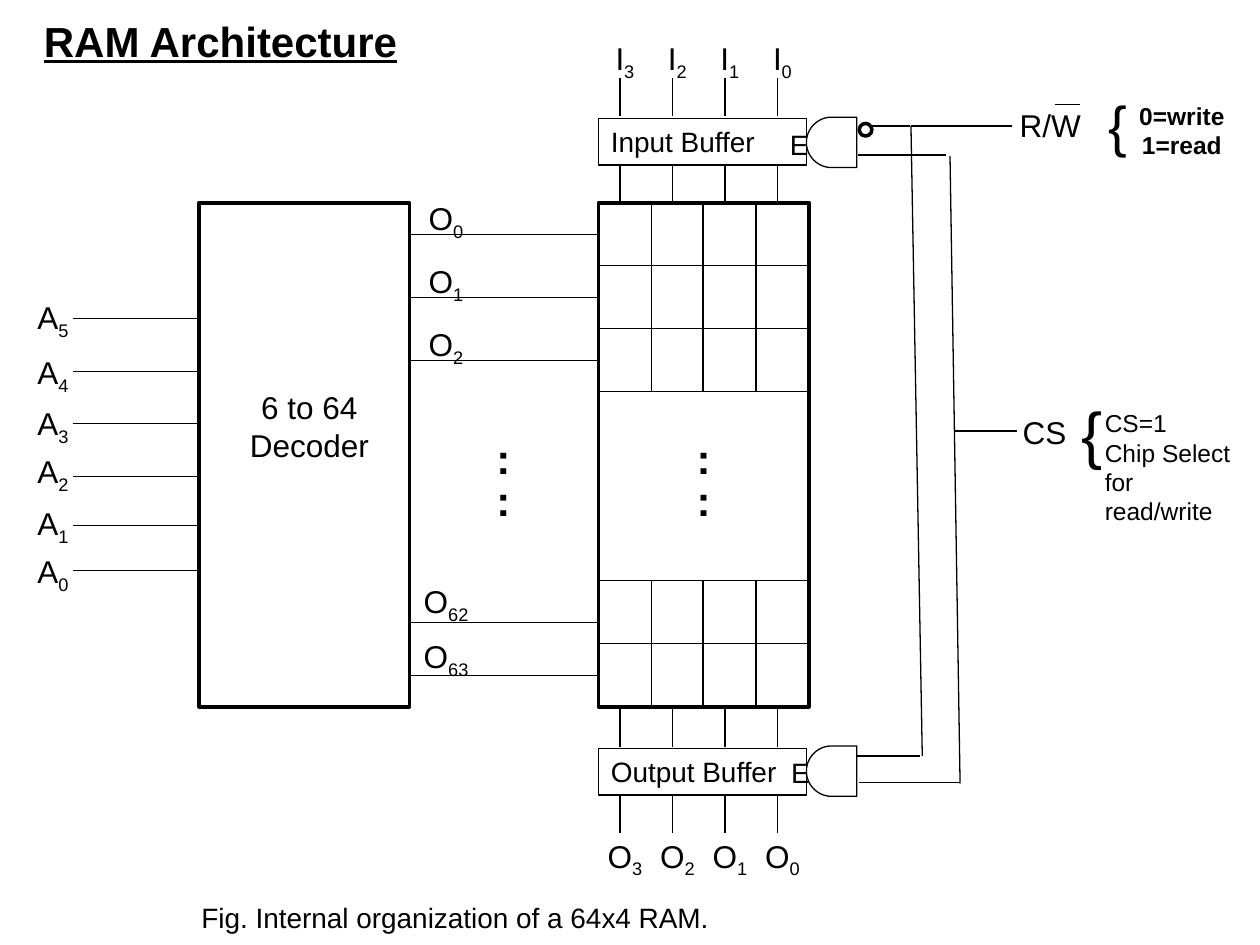
"""Draw the internal organization of a 64x4 RAM on one slide."""
from dataclasses import dataclass

from lxml.etree import SubElement
from pptx import Presentation
from pptx.dml.color import RGBColor
from pptx.enum.shapes import MSO_CONNECTOR, MSO_SHAPE
from pptx.enum.text import MSO_ANCHOR, PP_ALIGN
from pptx.oxml.ns import qn
from pptx.util import Cm, Pt


@dataclass(frozen=True)
class Theme:
    font: str = "Arial"
    ink: RGBColor = RGBColor(0, 0, 0)
    paper: RGBColor = RGBColor(255, 255, 255)
    note: int = 14
    caption: int = 16
    label: int = 18
    title: int = 24
    brace: int = 32
    tall_brace: int = 36
    thin: float = 0.75
    thick: float = 2


def inches(value):
    return Cm(value * 2.54)


def write(box, text, *, theme, size, bold=False, underline=False,
          align=PP_ALIGN.CENTER, leading=None):
    frame = box.text_frame
    frame.word_wrap = True
    frame.vertical_anchor = MSO_ANCHOR.TOP
    for index, line in enumerate(text.split("\n")):
        para = frame.add_paragraph() if index else frame.paragraphs[0]
        para.alignment = align
        if leading:
            para.line_spacing = Pt(leading)
        for position, part in enumerate(line.split("_")):
            span = para.add_run()
            span.text = part
            span.font.name = theme.font
            span.font.size = Pt(size)
            span.font.bold = bold
            span.font.underline = underline
            span.font.color.rgb = theme.ink
            if position:
                span._r.get_or_add_rPr().set("baseline", "-25000")


class Diagram:
    def __init__(self, page, theme):
        self.page = page
        self.theme = theme

    def text(self, text, left, top, width, height, **style):
        box = self.page.shapes.add_textbox(*map(inches, (left, top, width, height)))
        write(box, text, theme=self.theme, **{"size": self.theme.label, **style})

    def shape(self, kind, left, top, width, height, weight, filled=False):
        box = self.page.shapes.add_shape(kind, *map(inches, (left, top, width, height)))
        box.shadow.inherit = False
        if filled:
            box.fill.solid()
            box.fill.fore_color.rgb = self.theme.paper
        else:
            box.fill.background()
        box.line.color.rgb = self.theme.ink
        box.line.width = Pt(weight)
        return box

    def block(self, left):
        self.shape(MSO_SHAPE.RECTANGLE, left, 1.61, 1.67, 4, self.theme.thick)

    def buffer(self, text, top):
        box = self.shape(MSO_SHAPE.RECTANGLE, 4.75, top, 1.65, 0.37, self.theme.thin)
        write(box, text, theme=self.theme, size=self.theme.caption, align=PP_ALIGN.LEFT)

    def gate(self, top):
        box = self.shape(MSO_SHAPE.FLOWCHART_DELAY, 6.4, top, 0.4, 0.4,
                         self.theme.thin, filled=True)
        box.rotation = 180

    def line(self, *ends):
        wire = self.page.shapes.add_connector(MSO_CONNECTOR.STRAIGHT, *map(inches, ends))
        wire.line.color.rgb = self.theme.ink
        wire.line.width = Pt(self.theme.thin)
        SubElement(wire._element.spPr, qn("a:effectLst"))


def draw_decoder(diagram):
    diagram.block(1.58)
    diagram.text("6 to 64 Decoder", 1.83, 3.03, 1.25, 0.7)
    addresses = ((2.53, 2.32), (2.95, 2.75), (3.36, 3.16),
                 (3.78, 3.54), (4.17, 3.95), (4.53, 4.33))
    for index, (wire, label) in enumerate(addresses):
        diagram.line(0.58, wire, 1.58, wire)
        diagram.text(f"A_{5 - index}", 0.17, label, 0.5, 0.44)
    outputs = ((0, 1.86, 1.53), (1, 2.36, 2.03), (2, 2.86, 2.53),
               (62, 4.94, 4.57), (63, 5.36, 5.01))
    for number, wire, label in outputs:
        diagram.line(3.25, wire, 4.75, wire)
        diagram.text(f"O_{number}", 3.25, label, 0.58, 0.44)


def draw_memory(diagram):
    theme = diagram.theme
    diagram.block(4.75)
    for row in (2.11, 2.61, 3.11, 4.61, 5.11):
        diagram.line(4.75, row, 6.42, row)
    for column in (5.17, 5.58, 6):
        diagram.line(column, 1.61, column, 3.11)
        diagram.line(column, 4.61, column, 5.61)
    for left in (3.83, 5.42):
        diagram.text(":\n:", left, 3.45, 0.33, 0.77,
                     size=theme.title, bold=True, leading=theme.title)


def draw_buffers(diagram):
    diagram.buffer("Input Buffer", 0.94)
    diagram.buffer("Output Buffer", 5.94)
    for index in range(4):
        column = 4.92 + index * 1.25 / 3
        for top in (0.62, 1.31, 5.63, 6.31):
            diagram.line(column, top, column, top + 0.3)
        for letter, top in (("I", 0.26), ("O", 6.59)):
            diagram.text(f"{letter}_{3 - index}", column - 0.25, top, 0.58, 0.44)


def draw_control(diagram):
    theme = diagram.theme
    diagram.line(7.54, 1.24, 7.62, 6.22)
    diagram.line(7.23, 1, 7.32, 6)
    for top, left in ((0.93, 6.17), (5.92, 6.18)):
        diagram.gate(top)
        diagram.text("E", left, top + 0.03, 0.25, 0.37, size=theme.caption)
    diagram.shape(MSO_SHAPE.OVAL, 6.82, 0.98, 0.1, 0.1, theme.thick)
    for start, end, height in ((6.92, 7.22, 1), (6.8, 7.3, 6), (6.82, 7.62, 6.21),
                               (6.81, 7.51, 1.23), (7.23, 8.03, 1),
                               (7.57, 8.07, 3.42), (8.37, 8.57, 0.83)):
        diagram.line(start, height, end, height)
    diagram.text("R/W", 7.92, 0.79, 0.83, 0.4)
    diagram.text("CS", 8, 3.23, 0.58, 0.4)
    diagram.text("{", 8.7, 0.67, 0.33, 0.64, size=theme.brace)
    diagram.text("0=write\n1=read", 8.92, 0.75, 0.92, 0.57, size=theme.note, bold=True)
    diagram.text("CS=1\nChip Select for read/write", 8.67, 3.19, 1.33, 1.04,
                 size=theme.note, align=PP_ALIGN.LEFT)
    diagram.text("{", 8.42, 3.08, 0.5, 0.7, size=theme.tall_brace)


def main():
    deck = Presentation()
    deck.slide_width, deck.slide_height = inches(10), inches(7.5)
    theme = Theme()
    diagram = Diagram(deck.slides.add_slide(deck.slide_layouts[6]), theme)
    draw_decoder(diagram)
    draw_memory(diagram)
    draw_buffers(diagram)
    draw_control(diagram)
    diagram.text("Fig. Internal organization of a 64x4 RAM.", 1.5, 7.1, 4.5, 0.37,
                 size=theme.caption, align=PP_ALIGN.LEFT)
    diagram.text("RAM Architecture", 0.25, 0.07, 3.42, 0.48, size=theme.title,
                 bold=True, underline=True, align=PP_ALIGN.LEFT)
    deck.save("out.pptx")


if __name__ == "__main__":
    main()
